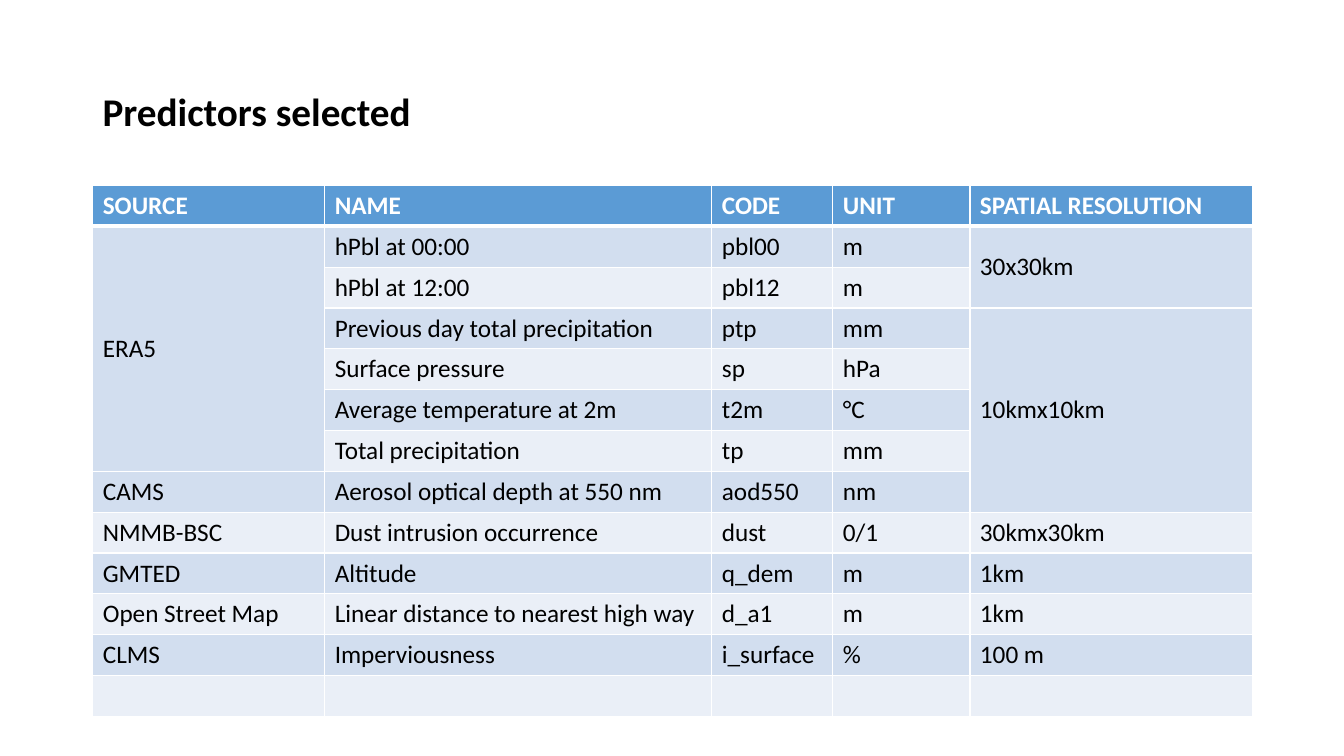
from lxml.etree import SubElement
from pptx import Presentation
from pptx.dml.color import RGBColor
from pptx.enum.text import MSO_ANCHOR
from pptx.oxml.ns import qn
from pptx.util import Inches, Pt

FONT = "Calibri"
BLACK = RGBColor(0x00, 0x00, 0x00)
WHITE = RGBColor(0xFF, 0xFF, 0xFF)
HEADER_BLUE = RGBColor(0x5B, 0x9B, 0xD5)
BAND_DARK = RGBColor(0xD2, 0xDE, 0xEF)
BAND_LIGHT = RGBColor(0xEA, 0xEF, 0xF7)

COLUMN_WIDTHS = [2.3, 3.84, 1.2, 1.36, 2.8]
PREDICTORS = [
    ("SOURCE", "NAME", "CODE", "UNIT", "SPATIAL RESOLUTION"),
    ("ERA5", "hPbl at 00:00", "pbl00", "m", "30x30km"),
    (None, "hPbl at 12:00", "pbl12", "m", None),
    (None, "Previous day total precipitation", "ptp", "mm", "10kmx10km"),
    (None, "Surface pressure", "sp", "hPa", None),
    (None, "Average temperature at 2m", "t2m", "°C", None),
    (None, "Total precipitation", "tp", "mm", None),
    ("CAMS", "Aerosol optical depth at 550 nm", "aod550", "nm", None),
    ("NMMB-BSC", "Dust intrusion occurrence", "dust", "0/1", "30kmx30km"),
    ("GMTED", "Altitude", "q_dem", "m", "1km"),
    ("Open Street Map", "Linear distance to nearest high way", "d_a1", "m", "1km"),
    ("CLMS", "Imperviousness", "i_surface", "%", "100 m"),
    ("", "", "", "", ""),
]


def format_font(font, size, color, bold):
    font.name = FONT
    font.size = Pt(size)
    font.bold = bold
    font.color.rgb = color


def add_borders(cell, widths):
    properties = cell._tc.get_or_add_tcPr()
    for side, width in widths.items():
        line = SubElement(properties, qn(f"a:ln{side}"), w=str(Pt(width)))
        fill = SubElement(line, qn("a:solidFill"))
        SubElement(fill, qn("a:srgbClr"), val=str(WHITE))


def add_title(slide, left, top, width, height):
    title = slide.shapes.add_textbox(
        Inches(left), Inches(top), Inches(width), Inches(height))
    frame = title.text_frame
    frame.word_wrap = True
    frame.vertical_anchor = MSO_ANCHOR.MIDDLE
    frame.text = "Predictors selected"
    heading = frame.paragraphs[0]
    heading.line_spacing = 0.9
    format_font(heading.runs[0].font, 28, BLACK, True)


def fill_cell(cell, text, row):
    is_header = row == 0
    add_borders(cell, {"L": 1, "R": 1, "T": 3 if row == 1 else 1,
                       "B": 3 if is_header else 1})
    cell.fill.solid()
    band = BAND_DARK if row % 2 else BAND_LIGHT
    cell.fill.fore_color.rgb = HEADER_BLUE if is_header else band
    if text:
        cell.text = text
        format_font(cell.text_frame.paragraphs[0].runs[0].font, 18,
                    WHITE if is_header else BLACK, is_header)


def add_predictor_table(slide, left, top, width, height):
    rows, columns = len(PREDICTORS), len(COLUMN_WIDTHS)
    table = slide.shapes.add_table(
        rows, columns, Inches(left), Inches(top),
        Inches(width), Inches(height)).table
    for column, share in zip(table.columns, COLUMN_WIDTHS):
        column.width = Inches(width * share / sum(COLUMN_WIDTHS))
    for row, values in enumerate(PREDICTORS):
        for column, text in enumerate(values):
            fill_cell(table.cell(row, column), text, row)
    for column in range(columns):
        starts = [row for row in range(rows) if PREDICTORS[row][column] is not None]
        for start, following in zip(starts, starts[1:]):
            if following - start > 1:
                group = table.cell(start, column)
                group.merge(table.cell(following - 1, column))
                group.vertical_anchor = MSO_ANCHOR.MIDDLE


def main():
    presentation = Presentation()
    presentation.slide_width = Inches(13.33)
    presentation.slide_height = Inches(7.5)
    slide = presentation.slides.add_slide(presentation.slide_layouts[6])
    add_title(slide, 0.92, 0.4, 11.5, 1.45)
    add_predictor_table(slide, 0.92, 1.84, 11.5, 5.27)
    presentation.save("out.pptx")


if __name__ == "__main__":
    main()
